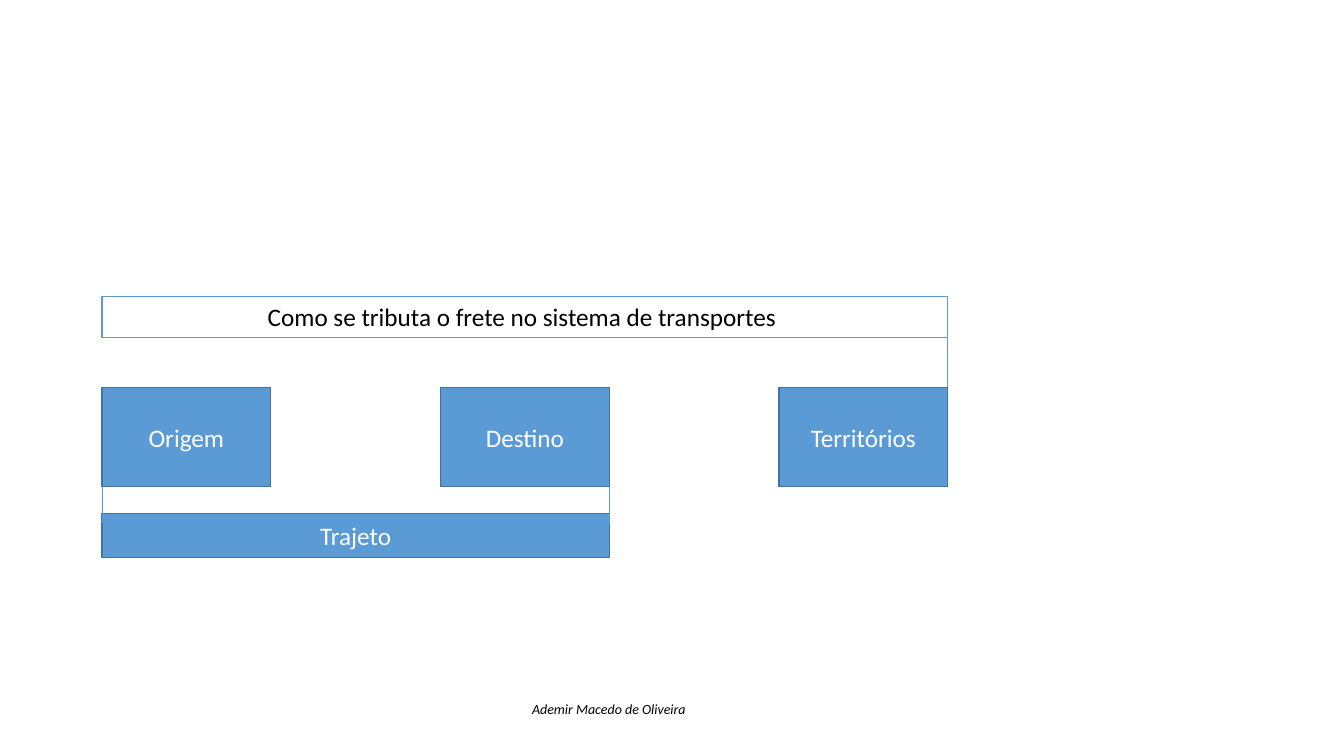
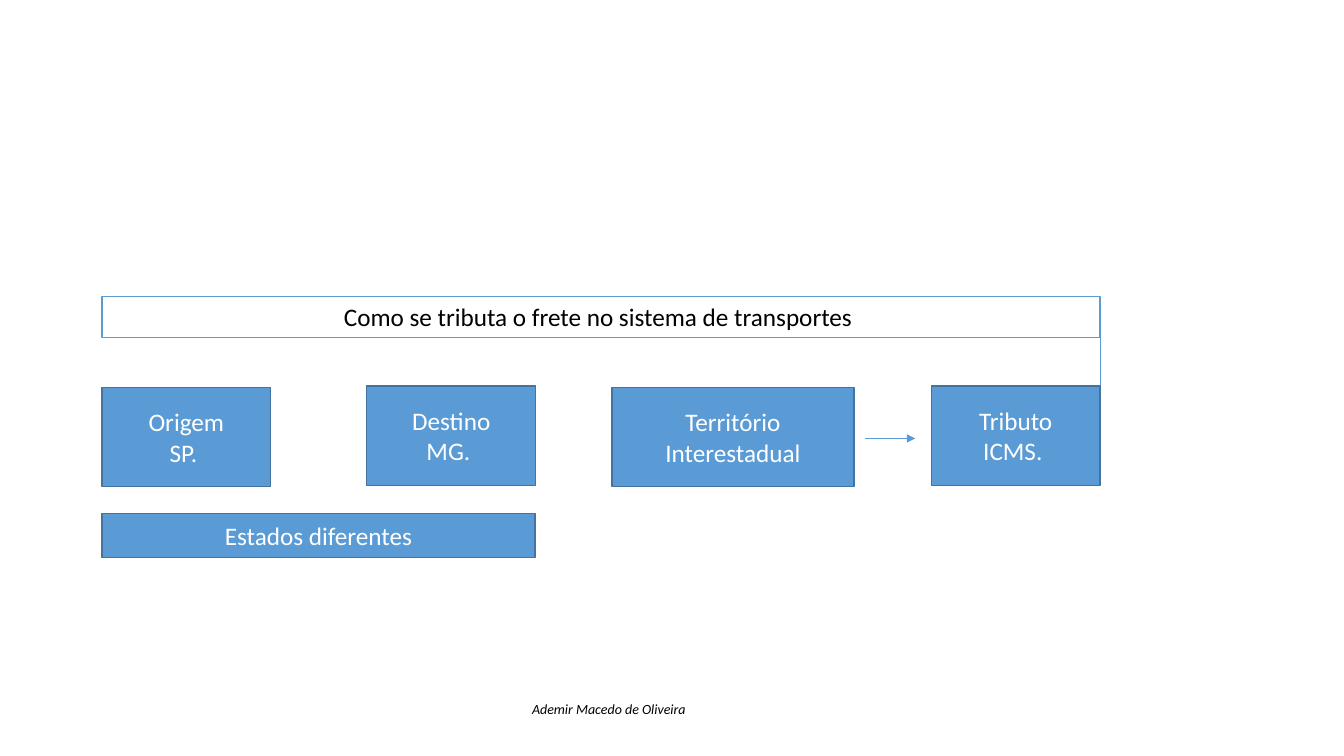
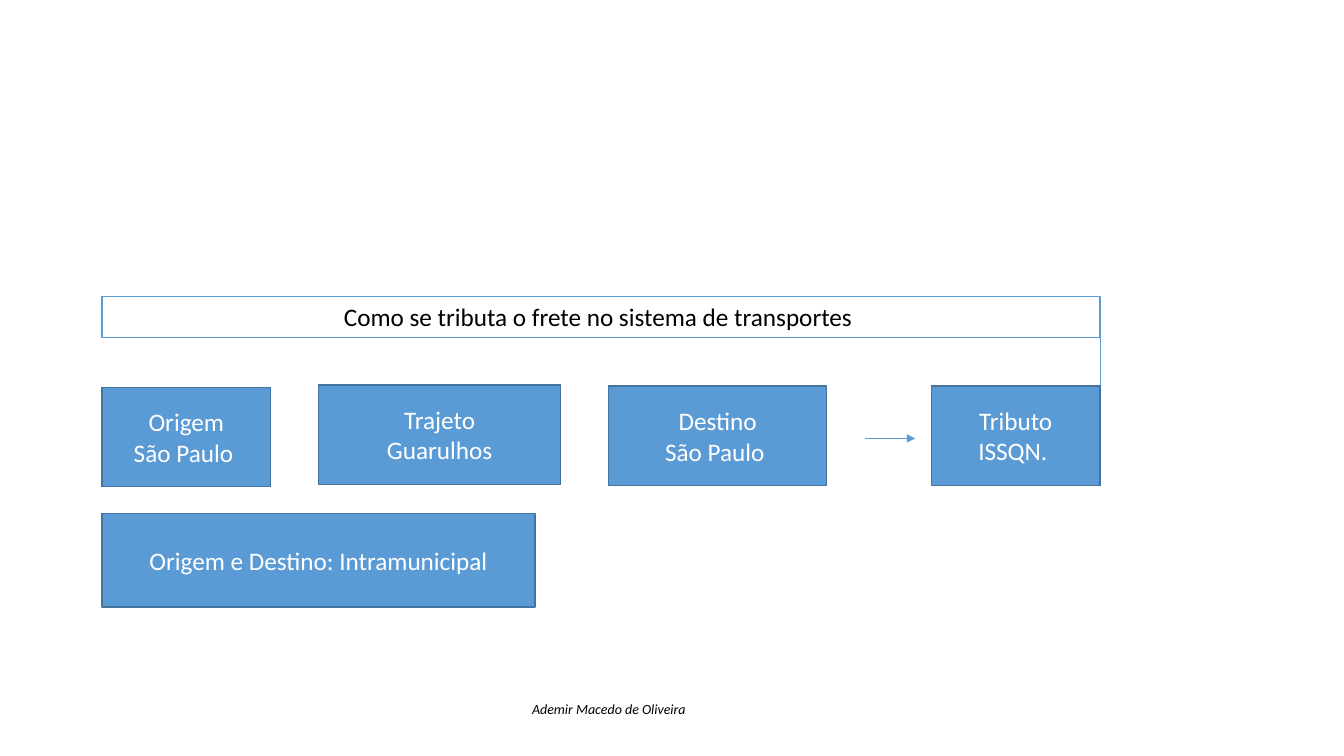
from collections import namedtuple

from lxml import etree
from pptx import Presentation
from pptx.dml.color import RGBColor
from pptx.enum.shapes import MSO_CONNECTOR, MSO_SHAPE
from pptx.enum.text import MSO_ANCHOR, MSO_AUTO_SIZE, PP_ALIGN
from pptx.oxml.ns import qn
from pptx.util import Pt

STRAIGHT = MSO_CONNECTOR.STRAIGHT
RECTANGLE = MSO_SHAPE.RECTANGLE
TOP, MIDDLE = MSO_ANCHOR.TOP, MSO_ANCHOR.MIDDLE
NO_AUTOFIT = MSO_AUTO_SIZE.NONE
CENTER = PP_ALIGN.CENTER

COLORS = {"blue": "5B9BD5", "border": "43739E", "white": "FFFFFF", "black": "000000"}
FONT = "Calibri"
TITLE_ONLY = 5
HEADING = "Como se tributa o frete no sistema de transportes "
AUTHOR = "Ademir Macedo de Oliveira"

# All lengths are in points
Box = namedtuple("Box", "left top width height")
LEFT = 72.8
STEP_WIDTH, STEP_HEIGHT = 120.6, 71
WIDE_STEP = 172.9
COLUMN_PITCH = 241.8
TAX_OFFSET = 592.4
STATES_WIDTH = 309.4
BAND_HEIGHT = 31.8
DIAGRAM_TOP = 211.8
FOOTER = Box(279.4, 496.8, 311, 19.4)


def rgb(name):
    return RGBColor.from_string(COLORS[name])


def place(shape, box):
    shape.left, shape.top, shape.width, shape.height = (Pt(value) for value in box)


def write(shape, lines, size, color, anchor, italic=False):
    frame = shape.text_frame
    frame.word_wrap = True
    frame.auto_size = NO_AUTOFIT
    frame.vertical_anchor = anchor
    for index, line in enumerate(lines):
        para = frame.add_paragraph() if index else frame.paragraphs[0]
        para.alignment = CENTER
        span = para.add_run()
        span.text = line
        span.font.name = FONT
        span.font.size = Pt(size)
        span.font.italic = italic
        span.font.color.rgb = rgb(color)


def paint(shape, fill, line):
    shape.fill.solid()
    shape.fill.fore_color.rgb = rgb(fill)
    shape.line.color.rgb = rgb(line)
    shape.line.width = Pt(1)


def add_block(page, box, *lines):
    block = page.shapes.add_shape(RECTANGLE, *(Pt(value) for value in box))
    block.shadow.inherit = False
    paint(block, "blue", "border")
    write(block, lines, 18, "white", MIDDLE)


def add_line(page, start, end, arrow=False):
    line = page.shapes.add_connector(STRAIGHT, *(Pt(value) for value in start + end))
    line.line.color.rgb = rgb("blue")
    line.line.width = Pt(0.5)
    if arrow:
        etree.SubElement(line.line._get_or_add_ln(), qn("a:tailEnd"), type="triangle")
    etree.SubElement(line._element.spPr, qn("a:effectLst"))


def add_heading(page, box):
    title = page.shapes.title
    place(title, box)
    paint(title, "white", "blue")
    write(title, [HEADING], 18, "black", TOP)


def add_footer(page, box):
    footer = page.shapes.add_textbox(*(Pt(value) for value in box))
    write(footer, [AUTHOR], 10, "black", TOP, italic=True)


def start_page(deck, diagram_width):
    """Add the shared frame and return the page and its row of steps."""
    page = deck.slides.add_slide(deck.slide_layouts[TITLE_ONLY])
    heading = Box(LEFT, DIAGRAM_TOP, diagram_width, 29.1)
    row = Box(LEFT, DIAGRAM_TOP + 64.8, diagram_width, STEP_HEIGHT)
    add_footer(page, FOOTER)
    add_heading(page, heading)
    # Drop line from the heading to the last step
    right = row.left + row.width
    add_line(page, (right, heading.top + heading.height), (right, row.top))
    return page, row


def add_band(page, row, width, height, text):
    add_block(page, Box(row.left, row.top + row.height + 19, width, height), text)


def add_route_page(deck):
    page, row = start_page(deck, 2 * COLUMN_PITCH + STEP_WIDTH)
    for column, name in enumerate(["Origem", "Destino", "Territórios"]):
        add_block(page, row._replace(left=row.left + column * COLUMN_PITCH,
                                     width=STEP_WIDTH), name)
    route_width = COLUMN_PITCH + STEP_WIDTH
    add_band(page, row, route_width, BAND_HEIGHT, "Trajeto")
    # Lines that tie origin and destination to the route
    bottom = row.top + row.height
    for x in (row.left, row.left + route_width):
        add_line(page, (x, bottom), (x, bottom + 26))


def add_tax_page(deck, steps, tax, band_height, band_text):
    page, row = start_page(deck, TAX_OFFSET + STEP_WIDTH)
    for offset, rise, width, lines in steps + [(TAX_OFFSET, 1, STEP_WIDTH, ("Tributo", tax))]:
        add_block(page, Box(row.left + offset, row.top - rise, width, row.height), *lines)
    # Arrow to the tax
    tip, middle = row.left + TAX_OFFSET - 11.4, row.top + 36.6
    add_line(page, (tip - 36, middle), (tip, middle), arrow=True)
    add_band(page, row, STATES_WIDTH, band_height, band_text)


def main():
    deck = Presentation()
    deck.slide_width, deck.slide_height = Pt(960), Pt(540)
    add_route_page(deck)
    # Steps: offset in the row, rise above it, width, lines
    add_tax_page(deck, [
        (0, 0, STEP_WIDTH, ("Origem", "SP. ")),
        (189.2, 1, STEP_WIDTH, ("Destino", "MG. ")),
        (364.3, 0, WIDE_STEP, ("Território", "Interestadual")),
    ], "ICMS. ", BAND_HEIGHT, "Estados diferentes")
    add_tax_page(deck, [
        (0, 0, STEP_WIDTH, ("Origem", "São Paulo ")),
        (154.8, 1.7, WIDE_STEP, ("Trajeto", "Guarulhos")),
        (362, 0.8, 155.6, ("Destino", "São Paulo ")),
    ], "ISSQN. ", 67, "Origem e Destino: Intramunicipal")
    deck.save("out.pptx")


if __name__ == "__main__":
    main()
